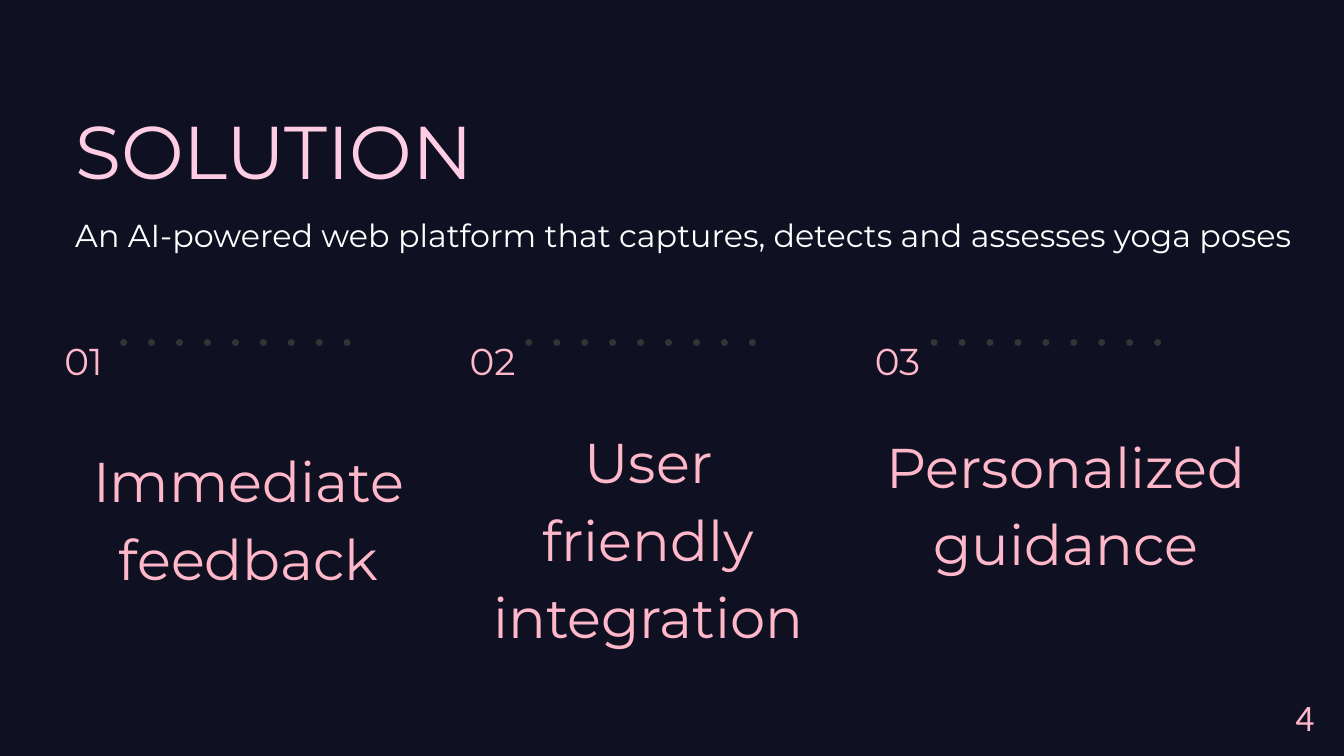
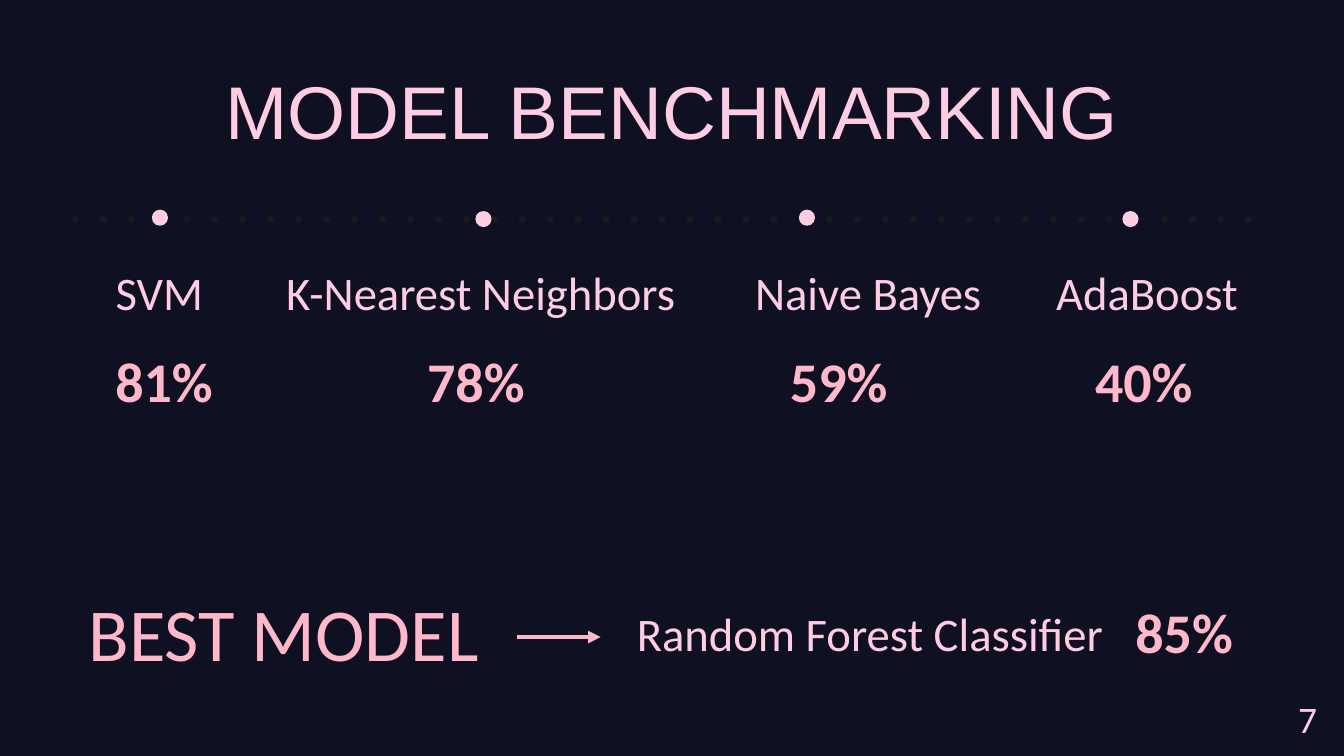
import dataclasses

import lxml.etree
import pptx
import pptx.dml.color
import pptx.enum.dml
import pptx.enum.shapes
import pptx.enum.text
import pptx.oxml.ns
import pptx.util

ALIGN = pptx.enum.text.PP_ALIGN
ANCHOR = pptx.enum.text.MSO_ANCHOR
FIT = pptx.enum.text.MSO_AUTO_SIZE
SIDES = ("margin_left", "margin_top", "margin_right", "margin_bottom")


@dataclasses.dataclass(frozen=True)
class Theme:
    background: str = "0F1021"
    pale: str = "FFCDE3"
    rose: str = "FFB8CA"
    white: str = "FFFFFF"
    dots: str = "343434"
    faint_dots: str = "1B1B1B"
    display: str = "Montserrat"
    plain: str = "Arial"
    body: str = "Calibri"
    title_size: int = 40
    headline_size: int = 30
    name_size: int = 25
    label_size: int = 20
    subtitle_size: int = 17
    dot_width: float = 3.75
    arrow_width: float = 2.25


THEME = Theme()

# Grid: 100 columns across the slide, with square cells
SLIDE_WIDTH = pptx.util.Inches(10)
SLIDE_HEIGHT = SLIDE_WIDTH * 9 // 16
CELL = SLIDE_WIDTH / 100


@dataclasses.dataclass(frozen=True)
class Box:
    """A region in grid columns and rows."""
    column: float
    row: float
    columns: float
    rows: float

    def area(self, column, row, columns, rows):
        return Box(self.column + column, self.row + row, columns, rows)

    def lengths(self):
        cells = (self.column, self.row, self.columns, self.rows)
        return [round(value * CELL) for value in cells]


def color(value):
    return pptx.dml.color.RGBColor.from_string(value)


def set_values(target, values):
    for name, value in values.items():
        setattr(target, name, value)


# Shared parts
def add_text(slide, box, text, size, ink, font=THEME.body, bold=None,
             insets=(1, 1), frame_values=None, paragraph_values=None):
    frame = slide.shapes.add_textbox(*box.lengths()).text_frame
    margins = [round(inset * CELL) for inset in insets * 2]
    set_values(frame, {"word_wrap": True, **dict(zip(SIDES, margins)),
                       **(frame_values or {})})
    paragraph = frame.paragraphs[0]
    set_values(paragraph, paragraph_values or {})
    run = paragraph.add_run()
    run.text = text
    set_values(run.font, {"name": font, "size": pptx.util.Pt(size), "bold": bold})
    run.font.color.rgb = color(ink)


def add_display_text(slide, box, text, size, ink, spacing, font=THEME.display,
                     align=ALIGN.LEFT, after=0):
    add_text(slide, box, text, size, ink, font, insets=(0, 0),
             frame_values={"auto_size": FIT.SHAPE_TO_FIT_TEXT},
             paragraph_values={"alignment": align, "line_spacing": spacing,
                               "space_after": pptx.util.Pt(after)})


def add_title(slide, box, text, font=THEME.display, align=ALIGN.LEFT):
    add_display_text(slide, box, text, THEME.title_size, THEME.pale, 1.2,
                     font, align)


def add_line(slide, box, ink, width):
    left, top, length, _ = box.lengths()
    connector = slide.shapes.add_connector(
        pptx.enum.shapes.MSO_CONNECTOR.STRAIGHT, left, top, left + length, top)
    connector.line.color.rgb = color(ink)
    connector.line.width = pptx.util.Pt(width)
    properties = connector._element.spPr
    lxml.etree.SubElement(properties, pptx.oxml.ns.qn("a:effectLst"))
    return connector


def add_dotted_line(slide, box, ink):
    line = add_line(slide, box, ink, THEME.dot_width).line
    line.dash_style = pptx.enum.dml.MSO_LINE.ROUND_DOT
    outline = line._get_or_add_ln()
    outline.set("cap", "rnd")
    outline.find(pptx.oxml.ns.qn("a:prstDash")).set("val", "dot")


def add_arrow(slide, box, ink):
    outline = add_line(slide, box, ink, THEME.arrow_width).line._get_or_add_ln()
    lxml.etree.SubElement(outline, pptx.oxml.ns.qn("a:tailEnd"), type="triangle")


def add_page_number(slide, box, number, ink):
    add_text(slide, box, number, THEME.label_size, ink, insets=(0.5, 0.2),
             frame_values={"vertical_anchor": ANCHOR.MIDDLE},
             paragraph_values={"alignment": ALIGN.RIGHT})


def add_blank_slide(presentation):
    slide = presentation.slides.add_slide(presentation.slide_layouts[6])
    slide.background.fill.solid()
    slide.background.fill.fore_color.rgb = color(THEME.background)
    return slide


# Solution slide
def add_solution_header(slide, box):
    add_title(slide, box.area(0, 0, 58.6, 6.7), "SOLUTION")
    add_display_text(
        slide, box.area(0, 9.1, box.columns, 2.9),
        "An AI-powered web platform that captures, detects and assesses yoga poses",
        THEME.subtitle_size, THEME.white, 1.15, after=12)


def add_benefit(slide, box, number, text, text_box):
    add_display_text(slide, box.area(0, 0, 3.7, 3.4), number,
                     THEME.label_size, THEME.rose, 1.4)
    add_dotted_line(slide, box.area(4.4, 1.7, 18.7, 0), THEME.dots)
    add_display_text(slide, box.area(*text_box), text, THEME.headline_size,
                     THEME.rose, 1.15, align=ALIGN.CENTER, after=12)


def build_solution(presentation):
    slide = add_blank_slide(presentation)
    add_solution_header(slide, Box(5.6, 6.5, 92.2, 12))
    # Each benefit with its text box, relative to its own column
    benefits = [
        ("Immediate feedback", (-0.5, 8.7, 28.4, 10.9)),
        ("User friendly integration", (1.25, 7.3, 24.1, 16.7)),
        ("Personalized guidance", (0, 7.6, 28.4, 10.9)),
    ]
    for index, (text, text_box) in enumerate(benefits):
        box = Box(4.8 + 30.15 * index, 23.8, 28.4, 24)
        add_benefit(slide, box, f"{index + 1:02}", text, text_box)
    add_page_number(slide, Box(86.6, 52.3, 11.7, 2), "4", THEME.rose)


# Benchmarking slide
def add_name(slide, box, text, align=ALIGN.LEFT):
    add_text(slide, box, text, THEME.name_size, THEME.pale,
             paragraph_values={"alignment": align})


def add_score(slide, box, text):
    add_text(slide, box, text, THEME.headline_size, THEME.rose, bold=True)


def add_timeline(slide, box, count):
    add_dotted_line(slide, box, THEME.faint_dots)
    for index in range(count):
        marker = box.area(5.7 + 24.07 * index, 0.1 * (index % 2) - 0.7, 1.2, 1.2)
        shape = slide.shapes.add_shape(
            pptx.enum.shapes.MSO_SHAPE.OVAL, *marker.lengths())
        shape.shadow.inherit = False
        shape.fill.solid()
        shape.fill.fore_color.rgb = color(THEME.pale)
        shape.line.fill.background()


def add_scores(slide, box, models):
    for name, score, name_column, name_width, score_column, align in models:
        add_name(slide, box.area(name_column, 0, name_width, 5.6), name, align)
        add_score(slide, box.area(score_column, 6.2, 10.3, 6.7), score)


def add_best_model(slide, box):
    add_text(slide, box.area(0, 0, 32.8, 8.2), "BEST MODEL",
             THEME.title_size, THEME.rose)
    add_arrow(slide, box.area(32.9, 4.7, 6.2, 0), THEME.rose)
    add_name(slide, box.area(40.8, 1.3, 43.3, 5.6), "Random Forest Classifier")
    add_score(slide, box.area(77.9, 0.8, 10.3, 6.7), "85%")


def build_benchmarking(presentation):
    slide = add_blank_slide(presentation)
    add_title(slide, Box(8.4, 3.5, 83.2, 6.7), "MODEL BENCHMARKING",
              THEME.plain, ALIGN.CENTER)
    # Name, score, name column and width, score column, name alignment
    models = [
        ("SVM", "81%", 1.4, 20.9, 7.6, ALIGN.CENTER),
        ("K-Nearest Neighbors", "78%", 20.3, 31.2, 30.8, ALIGN.LEFT),
        ("Naive Bayes", "59%", 55.2, 20.9, 57.8, ALIGN.LEFT),
        ("AdaBoost", "40%", 77.6, 20.9, 80.5, ALIGN.LEFT),
    ]
    add_timeline(slide, Box(5.6, 16.3, 88, 0), len(models))
    add_scores(slide, Box(0, 18.6, 100, 12.9), models)
    add_best_model(slide, Box(5.6, 42.7, 88.2, 8.2))
    add_page_number(slide, Box(86.8, 52.5, 11.7, 2), "7", THEME.pale)


def main():
    presentation = pptx.Presentation()
    set_values(presentation, {"slide_width": SLIDE_WIDTH,
                              "slide_height": SLIDE_HEIGHT})
    build_solution(presentation)
    build_benchmarking(presentation)
    presentation.save("out.pptx")


if __name__ == "__main__":
    main()
